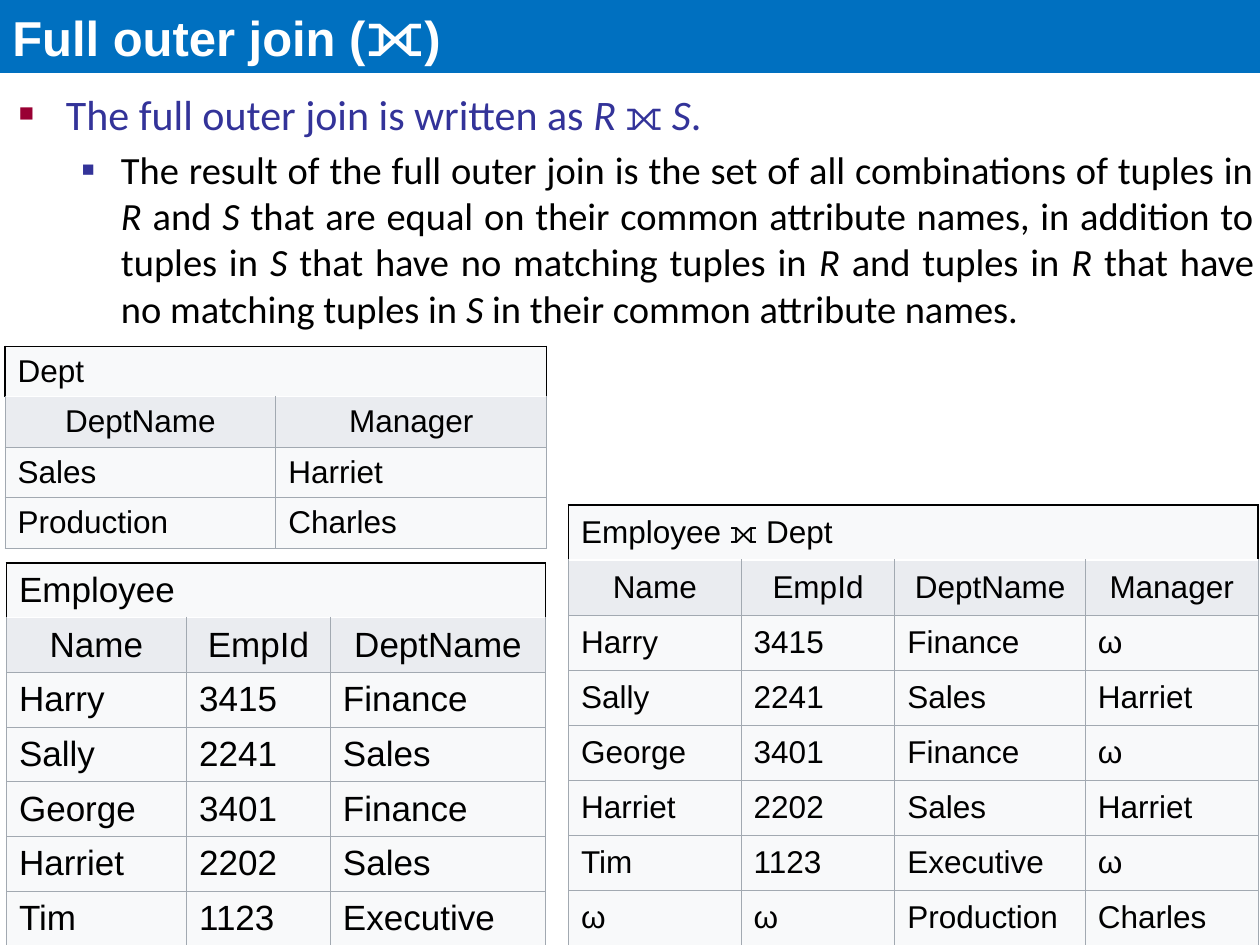
from dataclasses import dataclass

from lxml import etree
from pptx import Presentation
from pptx.dml.color import RGBColor
from pptx.enum import shapes, text
from pptx.oxml import ns
from pptx.util import Cm, Pt


@dataclass(frozen=True)
class Theme:
    heading_font: str = "Arial"
    body_font: str = "Calibri"
    title_size: int = 28
    banner: str = "0070C0"
    white: str = "FFFFFF"
    black: str = "000000"
    indigo: str = "333399"
    crimson: str = "990033"
    cell: str = "F8F9FA"
    header: str = "EAECF0"
    grid: str = "A2A9B1"
    grid_width: float = 0.6
    caption_width: float = 1.0


THEME = Theme()


@dataclass(frozen=True)
class Bullet:
    """Text in which asterisks enclose italic words."""
    words: str
    size: int
    color: str
    mark_color: str
    mark_percent: int
    margin: float
    hanging: float
    align: text.PP_ALIGN
    space_before: float = 0


@dataclass(frozen=True)
class Relation:
    caption: str
    left: float
    top: float
    row_height: float
    widths: tuple[float, ...]
    size: int
    rows: tuple[tuple[str, ...], ...]


BULLETS = (
    Bullet("The full outer join is written as *R* ⟗ *S*.", 24, THEME.indigo,
           THEME.crimson, 60, 0.95, 0.95, text.PP_ALIGN.LEFT),
    Bullet("The result of the full outer join is the set of all combinations of "
           "tuples in *R* and *S* that are equal on their common attribute names, "
           "in addition to tuples in *S* that have no matching tuples in *R* and "
           "tuples in *R* that have no matching tuples in *S* in their common "
           "attribute names.", 22, THEME.black, THEME.indigo, 55, 2.06, 0.79,
           text.PP_ALIGN.JUSTIFY, 4.4),
)

EMPLOYEES = (
    ("Name", "EmpId", "DeptName"),
    ("Harry", "3415", "Finance"),
    ("Sally", "2241", "Sales"),
    ("George", "3401", "Finance"),
    ("Harriet", "2202", "Sales"),
    ("Tim", "1123", "Executive"),
)
DEPARTMENTS = (
    ("DeptName", "Manager"),
    ("Sales", "Harriet"),
    ("Production", "Charles"),
)
MANAGERS = ("Manager", "ω", "Harriet", "ω", "Harriet", "ω")
JOINED = tuple((*row, manager) for row, manager in zip(EMPLOYEES, MANAGERS)) + (
    ("ω", "ω", "Production", "Charles"),
)

RELATIONS = (
    Relation("Employee", 0.13, 11.35, 1.04, (3.63, 2.9, 4.34), 20, EMPLOYEES),
    Relation("Dept", 0.1, 6.98, 0.97, (5.46, 5.46), 18, DEPARTMENTS),
    Relation("Employee ⟗ Dept", 11.46, 10.18, 1.11, (3.48, 3.1, 3.84, 3.48), 18, JOINED),
)


def set_font(para, name: str, size: int, color: str, bold: bool = False) -> None:
    font = para.font
    font.name, font.size, font.bold = name, Pt(size), bold
    font.color.rgb = RGBColor.from_string(color)


def add_child(parent, tag: str, **attributes: str):
    return etree.SubElement(parent, ns.qn(tag), attributes)


def add_title(page, words: str) -> None:
    banner = page.shapes.add_shape(shapes.MSO_SHAPE.RECTANGLE, 0, 0, Cm(25.4), Cm(1.47))
    banner.shadow.inherit = False
    banner.fill.solid()
    banner.fill.fore_color.rgb = RGBColor.from_string(THEME.banner)
    banner.line.fill.background()
    frame = banner.text_frame
    frame.vertical_anchor = text.MSO_ANCHOR.MIDDLE
    para = frame.paragraphs[0]
    para.text = words
    para.alignment = text.PP_ALIGN.LEFT
    set_font(para, THEME.heading_font, THEME.title_size, THEME.white, bold=True)


def fill_bullet(para, bullet: Bullet) -> None:
    properties = para._p.get_or_add_pPr()
    properties.set("marL", str(Cm(bullet.margin)))
    properties.set("indent", str(-Cm(bullet.hanging)))
    mark_color = add_child(properties, "a:buClr")
    add_child(mark_color, "a:srgbClr", val=bullet.mark_color)
    add_child(properties, "a:buSzPct", val=str(bullet.mark_percent * 1000))
    add_child(properties, "a:buFont", typeface=THEME.heading_font)
    add_child(properties, "a:buChar", char="■")
    para.alignment = bullet.align
    if bullet.space_before:
        para.space_before = Pt(bullet.space_before)
    set_font(para, THEME.body_font, bullet.size, bullet.color)
    for index, words in enumerate(bullet.words.split("*")):
        span = para.add_run()
        span.text = words
        if index % 2:
            span.font.italic = True


def add_bullets(page, bullets: tuple[Bullet, ...]) -> None:
    box = page.shapes.add_textbox(Cm(0.13), Cm(1.65), Cm(25.15), Cm(5.54))
    frame = box.text_frame
    frame.word_wrap = True
    frame.margin_right = 0
    for index, bullet in enumerate(bullets):
        para = frame.add_paragraph() if index else frame.paragraphs[0]
        fill_bullet(para, bullet)


def set_borders(cell, sides: str, color: str, width: float) -> None:
    """Draw the sides named by letters, in the order L, R, T, B."""
    properties = cell._tc.get_or_add_tcPr()
    for index, side in enumerate(sides):
        line = etree.Element(ns.qn(f"a:ln{side}"), w=str(Pt(width)))
        add_child(add_child(line, "a:solidFill"), "a:srgbClr", val=color)
        properties.insert(index, line)


def style_cell(cell, size: int, fill: str, centred: bool = False) -> None:
    cell.vertical_anchor = text.MSO_ANCHOR.MIDDLE
    cell.fill.solid()
    cell.fill.fore_color.rgb = RGBColor.from_string(fill)
    para = cell.text_frame.paragraphs[0]
    para.alignment = text.PP_ALIGN.CENTER if centred else text.PP_ALIGN.LEFT
    set_font(para, THEME.heading_font, size, THEME.black)


def add_relation(page, relation: Relation) -> None:
    """Add a table with a merged caption row above the column names."""
    row_count, column_count = len(relation.rows) + 1, len(relation.widths)
    table = page.shapes.add_table(
        row_count, column_count, Cm(relation.left), Cm(relation.top),
        Cm(sum(relation.widths)), Cm(relation.row_height * row_count)).table
    table.first_row = table.horz_banding = False
    for column, width in zip(table.columns, relation.widths):
        column.width = Cm(width)
    for row in table.rows:
        row.height = Cm(relation.row_height)

    caption = table.cell(0, 0)
    caption.merge(table.cell(0, column_count - 1))
    caption.text = relation.caption
    for cell in table.rows[0].cells:
        style_cell(cell, relation.size, THEME.cell)
        set_borders(cell, "LRTB", THEME.black, THEME.caption_width)

    for row_index, values in enumerate(relation.rows, start=1):
        is_header = row_index == 1
        for column_index, value in enumerate(values):
            cell = table.cell(row_index, column_index)
            cell.text = value
            style_cell(cell, relation.size, THEME.header if is_header else THEME.cell, is_header)
            set_borders(cell, "LRB" if is_header else "LRTB", THEME.grid, THEME.grid_width)


def main() -> None:
    deck = Presentation()
    deck.slide_width, deck.slide_height = Cm(25.4), Cm(19.05)
    page = deck.slides.add_slide(deck.slide_layouts[6])
    add_title(page, "Full outer join (⟗)")
    add_bullets(page, BULLETS)
    for relation in RELATIONS:
        add_relation(page, relation)
    deck.save("out.pptx")


if __name__ == "__main__":
    main()
